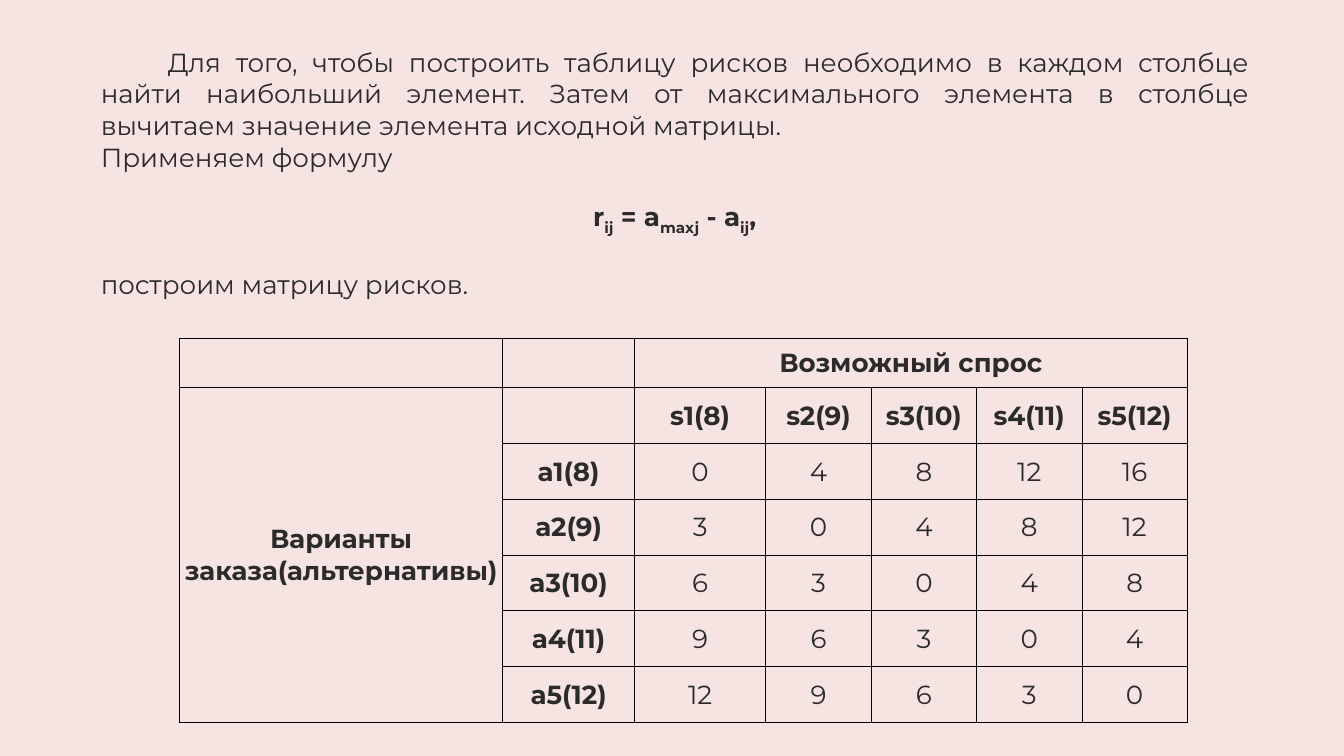
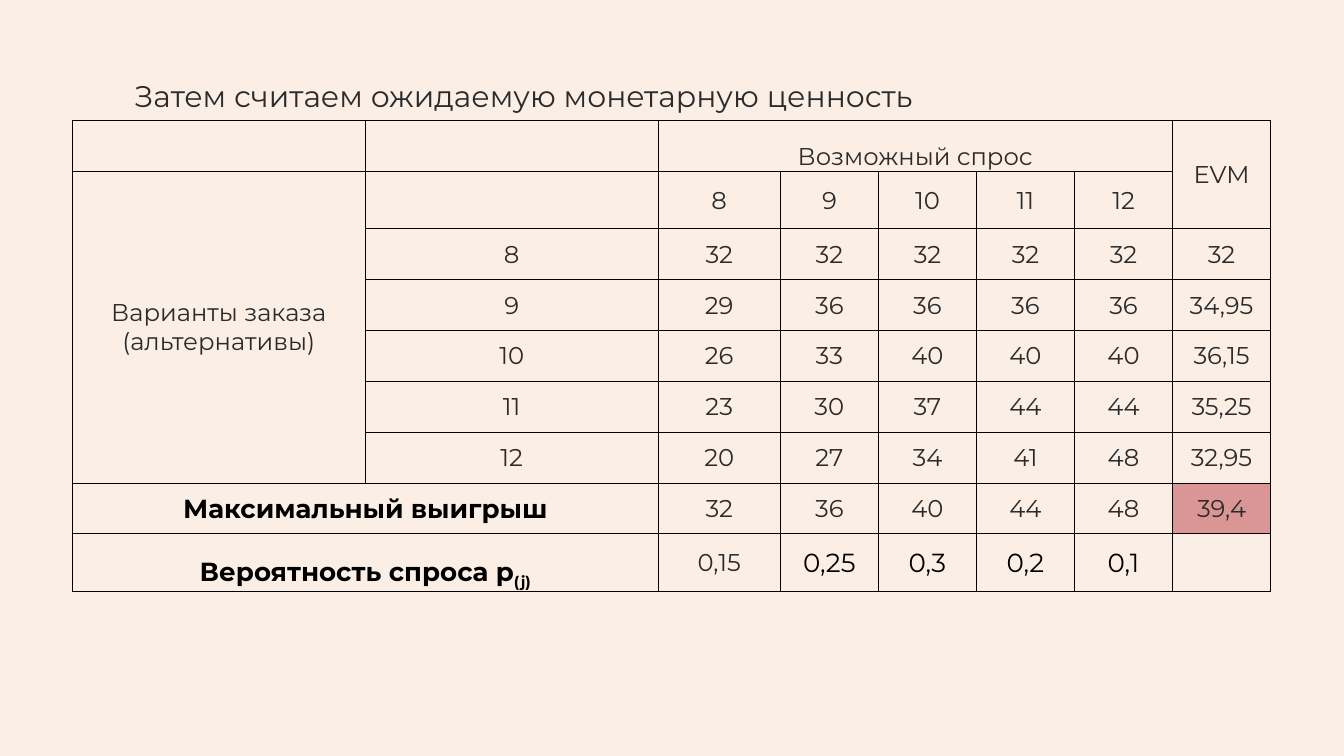
import pptx
import pptx.dml.color
import pptx.enum.text
import pptx.oxml
import pptx.oxml.ns
import pptx.util
from lxml import etree

Cm = pptx.util.Cm
Pt = pptx.util.Pt
ALIGN = pptx.enum.text.PP_ALIGN
ANCHOR = pptx.enum.text.MSO_ANCHOR

COLORS = {"rose": "F6E4E3", "cream": "FBEFE5", "ink": "2B2B2B",
          "black": "000000", "accent": "D99694"}
FONT = "Montserrat"

RISK_ROWS = [
    ["", "", "Возможный спрос"],
    ["Варианты заказа(альтернативы)", "", "s1(8)", "s2(9)", "s3(10)", "s4(11)", "s5(12)"],
    ["", "a1(8)", "0", "4", "8", "12", "16"],
    ["", "a2(9)", "3", "0", "4", "8", "12"],
    ["", "a3(10)", "6", "3", "0", "4", "8"],
    ["", "a4(11)", "9", "6", "3", "0", "4"],
    ["", "a5(12)", "12", "9", "6", "3", "0"],
]
VALUE_ROWS = [
    ["", "", "Возможный спрос", "", "", "", "", "EVM"],
    ["Варианты заказа (альтернативы)", "", "8", "9", "10", "11", "12"],
    ["", "8", "32", "32", "32", "32", "32", "32"],
    ["", "9", "29", "36", "36", "36", "36", "34,95"],
    ["", "10", "26", "33", "40", "40", "40", "36,15"],
    ["", "11", "23", "30", "37", "44", "44", "35,25"],
    ["", "12", "20", "27", "34", "41", "48", "32,95"],
    ["Максимальный выигрыш", "", "32", "36", "40", "44", "48", "39,4"],
    ["Вероятность спроса p_(j)_", "", "0,15", "0,25", "0,3", "0,2", "0,1"],
]


def rgb(name):
    """Return the named colour."""
    return pptx.dml.color.RGBColor.from_string(COLORS[name])


def set_all(obj, **values):
    """Set several attributes of an object."""
    for name, value in values.items():
        setattr(obj, name, value)


def write(p, text, size, color="ink", bold=False, **layout):
    """Write text into a paragraph, with subscripts between underscores."""
    set_all(p, **layout)
    for i, part in enumerate(text.split("_")):
        if part:
            r = p.add_run()
            r.text = part
            set_all(r.font, name=FONT, size=Pt(size), bold=bold)
            r.font.color.rgb = rgb(color)
            if i % 2:
                r.font._element.set("baseline", "-25000")


def prepare_frame(tf):
    """Make a text frame wrap from its top edge without insets."""
    set_all(tf, word_wrap=True, auto_size=pptx.enum.text.MSO_AUTO_SIZE.NONE,
            vertical_anchor=ANCHOR.TOP, margin_left=0, margin_right=0,
            margin_top=0, margin_bottom=0)


def add_slide(prs, layout, background):
    """Add a slide with a plain background."""
    s = prs.slides.add_slide(prs.slide_layouts.get_by_name(layout))
    s.background.fill.solid()
    s.background.fill.fore_color.rgb = rgb(background)
    return s


def add_borders(cell):
    """Draw a thin black line on each side of a cell."""
    tcPr = cell._tc.get_or_add_tcPr()
    for side in ("lnL", "lnR", "lnT", "lnB"):
        ln = etree.SubElement(tcPr, pptx.oxml.ns.qn(f"a:{side}"), w=str(Pt(1)))
        fill = etree.SubElement(ln, pptx.oxml.ns.qn("a:solidFill"))
        etree.SubElement(fill, pptx.oxml.ns.qn("a:srgbClr"), val=COLORS["black"])


def share(total, parts):
    """Divide a length in proportion to the parts."""
    return [int(total * part / sum(parts)) for part in parts]


def add_matrix(s, box, data, cols, rows, merges, cell_format):
    """Place a bordered table in the box, formatted cell by cell."""
    x, y, w, h = map(Cm, box)
    table = s.shapes.add_table(len(rows), len(cols), x, y, w, h).table
    set_all(table, first_row=False, horz_banding=False)
    for col, width in zip(table.columns, share(w, cols)):
        col.width = width
    for row, height in zip(table.rows, share(h, rows)):
        row.height = height
    for r in range(len(rows)):
        for c in range(len(cols)):
            cell = table.cell(r, c)
            add_borders(cell)
            text = data[r][c] if c < len(data[r]) else ""
            values = {"anchor": ANCHOR.MIDDLE, "fill": None, **cell_format(r, c)}
            set_all(cell, vertical_anchor=values.pop("anchor"), margin_left=Cm(0.03),
                    margin_right=Cm(0.03), margin_top=Cm(0.03), margin_bottom=0)
            fill = values.pop("fill")
            if fill:
                cell.fill.solid()
                cell.fill.fore_color.rgb = rgb(fill)
            else:
                cell.fill.background()
            write(cell.text_frame.paragraphs[0], text, alignment=ALIGN.CENTER, **values)
    for first, last in merges:
        table.cell(*first).merge(table.cell(*last))


def add_explanation(s, box):
    """Place the explanation of the risk formula in the box."""
    tf = s.shapes.add_textbox(*map(Cm, box)).text_frame
    prepare_frame(tf)
    lines = [
        ("Для того, чтобы построить таблицу рисков необходимо в каждом столбце найти "
         "наибольший элемент. Затем от максимального элемента в столбце вычитаем "
         "значение элемента исходной матрицы.", ALIGN.JUSTIFY, 0),
        ("Применяем формулу", ALIGN.JUSTIFY, 0),
        ("r_ij_ = a_maxj_ - a_ij_,", ALIGN.CENTER, 34),
        ("построим матрицу рисков.", ALIGN.JUSTIFY, 34),
    ]
    for i, (text, alignment, before) in enumerate(lines):
        p = tf.add_paragraph() if i else tf.paragraphs[0]
        write(p, text, 28, bold=alignment == ALIGN.CENTER, alignment=alignment,
              line_spacing=Pt(34), space_before=Pt(before))
    tf.paragraphs[0]._p.get_or_add_pPr().set("indent", str(Cm(2.54)))


def add_title(s, box, text):
    """Move the title placeholder to the box and fill it."""
    title = s.shapes.title
    x, y, w, h = map(Cm, box)
    set_all(title, left=x, top=y, width=w, height=h)
    prepare_frame(title.text_frame)
    write(title.text_frame.paragraphs[0], text, 32, alignment=ALIGN.JUSTIFY,
          line_spacing=Pt(83.1))


def risk_format(r, c):
    """Format the headings of the risk matrix in bold."""
    return {"size": 28, "bold": r < 2 or c < 2}


def value_format(r, c):
    """Format a cell of the expected value table."""
    values = {"size": 26}
    if (r >= 7 and c == 0) or (r == 8 and c > 2):
        values = {"size": 28, "color": "black", "bold": c == 0}
    if (r, c) in ((0, 2), (8, 0)):
        values["anchor"] = ANCHOR.BOTTOM
    if (r, c) == (7, 7):
        values["fill"] = "accent"
    return values


def risk_slide(prs):
    """Build the slide with the risk matrix."""
    s = add_slide(prs, "Blank", "rose")
    add_explanation(s, (3.81, 1.73, 43.38, 9.6))
    add_matrix(s, (6.78, 12.78, 38.1, 14.53), RISK_ROWS,
               [4.82] + [1.96] * 2 + [1.57] * 4, [0.74] + [0.83] * 6,
               [((0, 2), (0, 6)), ((1, 0), (6, 0))], risk_format)


def value_slide(prs):
    """Build the slide with the expected monetary value."""
    s = add_slide(prs, "Title Only", "cream")
    add_title(s, (5.08, 1.37, 35.76, 2.49), "Затем считаем ожидаемую монетарную ценность")
    add_matrix(s, (2.74, 4.55, 45.29, 17.81), VALUE_ROWS,
               [4.36] * 2 + [1.82] + [1.46] * 5, [0.76, 0.86] + [0.76] * 6 + [0.86],
               [((0, 2), (0, 6)), ((0, 7), (1, 7)), ((1, 0), (6, 0)),
                ((7, 0), (7, 1)), ((8, 0), (8, 1))], value_format)


def main():
    """Build and save the presentation."""
    prs = pptx.Presentation()
    set_all(prs, slide_width=Cm(50.8), slide_height=Cm(28.58))
    risk_slide(prs)
    value_slide(prs)
    prs.save("out.pptx")


if __name__ == "__main__":
    main()
